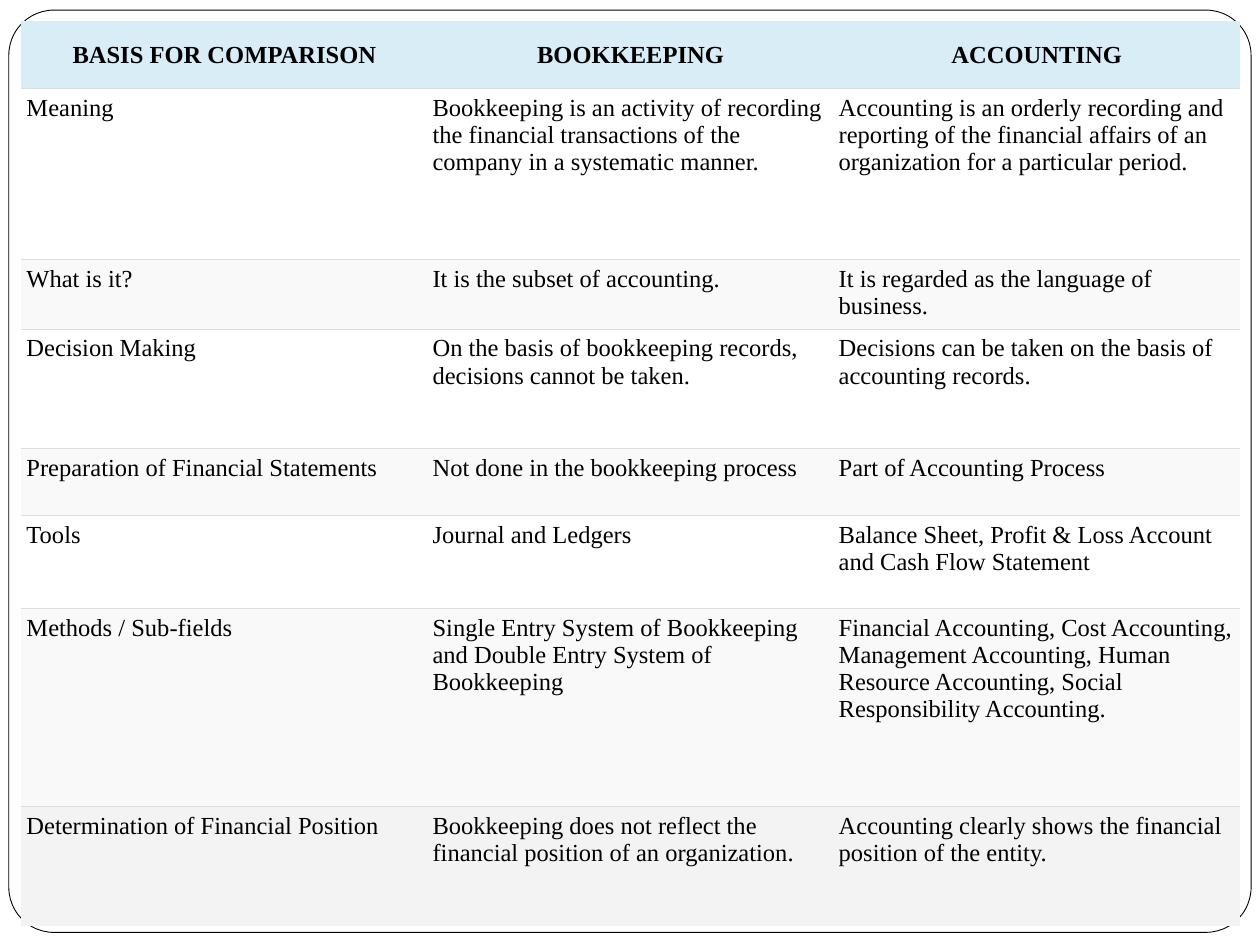
from lxml import etree
from pptx import Presentation, util as u
from pptx.dml.color import RGBColor
from pptx.enum import shapes, text
from pptx.oxml.ns import qn

HEADER = ("BASIS FOR COMPARISON", "BOOKKEEPING", "ACCOUNTING")
# Row height in inches, then the three cells
ROWS = [
    (1.36, "Meaning",
     "Bookkeeping is an activity of recording the financial transactions "
     "of the company in a systematic manner.",
     "Accounting is an orderly recording and reporting of the financial "
     "affairs of an organization for a particular period."),
    (0.55, "What is it?", "It is the subset of accounting.",
     "It is regarded as the language of business."),
    (0.95, "Decision Making",
     "On the basis of bookkeeping records, decisions cannot be taken.",
     "Decisions can be taken on the basis of accounting records."),
    (0.53, "Preparation of Financial Statements",
     "Not done in the bookkeeping process", "Part of Accounting Process"),
    (0.74, "Tools", "Journal and Ledgers",
     "Balance Sheet, Profit & Loss Account and Cash Flow Statement"),
    (1.57, "Methods / Sub-fields",
     "Single Entry System of Bookkeeping and Double Entry System of Bookkeeping",
     "Financial Accounting, Cost Accounting, Management Accounting, "
     "Human Resource Accounting, Social Responsibility Accounting."),
    (0.95, "Determination of Financial Position",
     "Bookkeeping does not reflect the financial position of an organization.",
     "Accounting clearly shows the financial position of the entity."),
]
TABLE = [(0.53, *HEADER), *ROWS]
LEFT, TOP, WIDTH = 0.17, 0.17, 9.67
FRAME = (0.07, 0.08, 9.86, 7.32)

THEME = {
    "font": "Times New Roman", "size": 14, "ink": "000000", "paper": "FFFFFF",
    "head": "D9EDF7", "bands": ("FFFFFF", "F9F9F9"), "last": "F3F3F3",
    "rule": "DDDDDD", "rule_pt": 0.34, "frame_pt": 0.5,
}
MARGINS = {"margin_left": 0.04, "margin_right": 0.04,
           "margin_top": 0.05, "margin_bottom": 0.05}


def rgb(name):
    return RGBColor.from_string(THEME[name])


def row_fill(i):
    if i == 0:
        return THEME["head"]
    if i == len(TABLE) - 1:
        return THEME["last"]
    return THEME["bands"][(i - 1) % 2]


def set_borders(cell, ruled):
    """Rule the named sides and clear the others; call before filling the cell."""
    tcPr = cell._tc.get_or_add_tcPr()
    for side in ("lnL", "lnR", "lnT", "lnB"):
        ln = etree.SubElement(tcPr, qn(f"a:{side}"))
        if side in ruled:
            ln.set("w", str(u.Pt(THEME["rule_pt"])))
            fill = etree.SubElement(ln, qn("a:solidFill"))
            etree.SubElement(fill, qn("a:srgbClr"), val=THEME["rule"])
        else:
            etree.SubElement(ln, qn("a:noFill"))


def add_frame(s):
    sp = s.shapes.add_shape(shapes.MSO_SHAPE.ROUNDED_RECTANGLE,
                            *map(u.Inches, FRAME))
    sp.adjustments[0] = 0.049
    sp.shadow.inherit = False
    sp.fill.solid()
    sp.fill.fore_color.rgb = rgb("paper")
    sp.line.color.rgb = rgb("ink")
    sp.line.width = u.Pt(THEME["frame_pt"])


def fill_cell(cell, content, i):
    is_head = i == 0
    ruled = {"lnT"} if i > 0 else set()
    if i < len(TABLE) - 1:
        ruled.add("lnB")
    set_borders(cell, ruled)
    cell.fill.solid()
    cell.fill.fore_color.rgb = RGBColor.from_string(row_fill(i))
    for name, inches in MARGINS.items():
        setattr(cell, name, u.Inches(inches))
    cell.vertical_anchor = (text.MSO_ANCHOR.MIDDLE if is_head
                            else text.MSO_ANCHOR.TOP)
    p = cell.text_frame.paragraphs[0]
    p.alignment = text.PP_ALIGN.CENTER if is_head else text.PP_ALIGN.LEFT
    r = p.add_run()
    r.text = content
    font = {"name": THEME["font"], "size": u.Pt(THEME["size"]), "bold": is_head}
    for name, value in font.items():
        setattr(r.font, name, value)
    r.font.color.rgb = rgb("ink")


def add_comparison(s):
    height = sum(row[0] for row in TABLE)
    tbl = s.shapes.add_table(len(TABLE), len(HEADER), u.Inches(LEFT),
                             u.Inches(TOP), u.Inches(WIDTH),
                             u.Inches(height)).table
    tbl.first_row = tbl.horz_banding = False
    for i, (row_height, *cells) in enumerate(TABLE):
        tbl.rows[i].height = u.Inches(row_height)
        for j, content in enumerate(cells):
            fill_cell(tbl.cell(i, j), content, i)


def main():
    prs = Presentation()
    prs.slide_width, prs.slide_height = u.Inches(10), u.Inches(7.5)
    s = prs.slides.add_slide(prs.slide_layouts[6])
    add_frame(s)
    add_comparison(s)
    prs.save("out.pptx")


if __name__ == "__main__":
    main()
